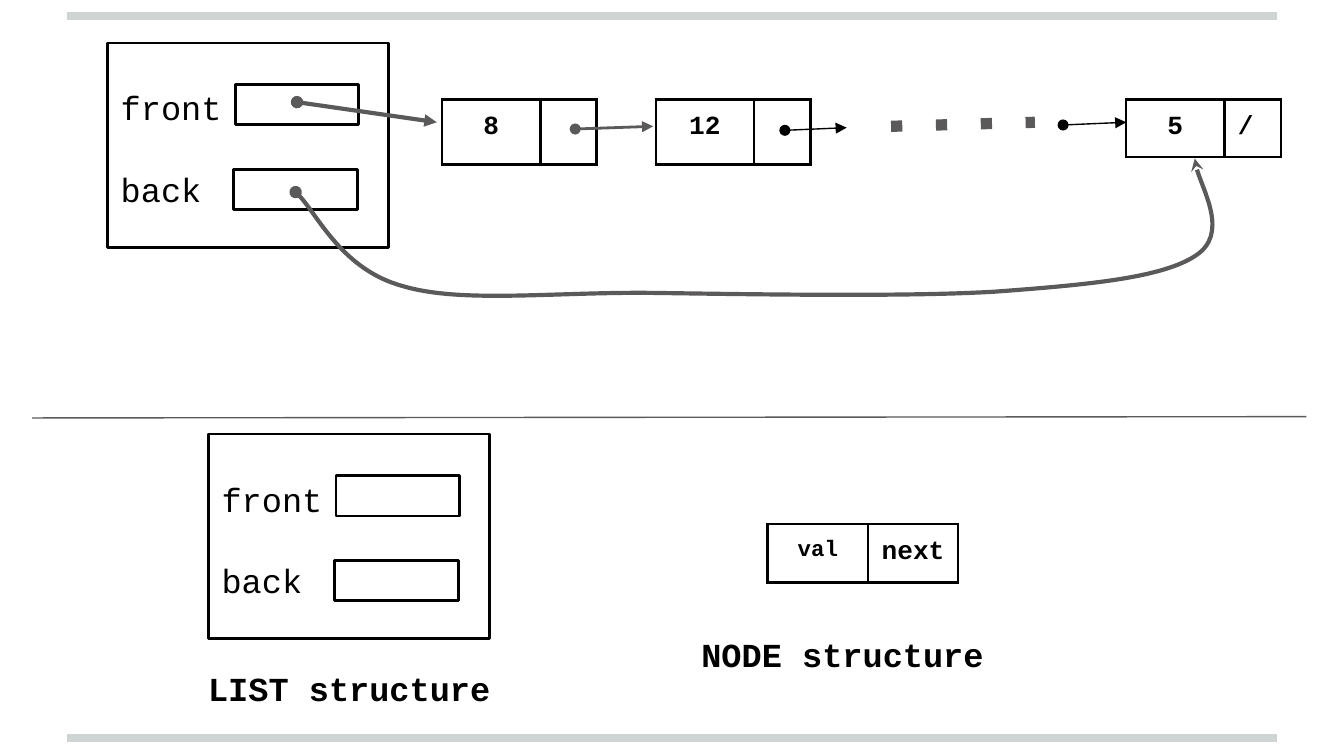
import dataclasses
import typing

import lxml.etree
import pptx
import pptx.dml.color
import pptx.enum.shapes
import pptx.enum.text
import pptx.oxml.ns
import pptx.util

PX = 9144
qn = pptx.oxml.ns.qn


@dataclasses.dataclass(frozen=True)
class Theme:
    ink: str = "000000"
    gray: str = "5B595A"
    rule: str = "CFD4D4"
    font: str = "Courier New"
    label: int = 18
    value: int = 14
    small: int = 12
    thin: float = 0.75
    border: float = 1.5
    bold: float = 2.25
    dots: float = 6
    bar: float = 4


class Box(typing.NamedTuple):
    left: int
    top: int
    width: int
    height: int

    def inner(self, left, top, width, height):
        return Box(self.left + left, self.top + top, width, height)

    def point(self, x, y):
        return self.left + x, self.top + y

    def emu(self):
        return [pptx.util.Emu(value * PX) for value in self]


THEME = Theme()


def color(code):
    return pptx.dml.color.RGBColor.from_string(code)


def write(para, text, size=THEME.label, bold=False, align="LEFT", before=0):
    para.alignment = getattr(pptx.enum.text.PP_ALIGN, align)
    para.space_before = pptx.util.Pt(before)
    span = para.add_run()
    span.text = text
    span.font.name = THEME.font
    span.font.size = pptx.util.Pt(size)
    span.font.bold = bold
    span.font.color.rgb = color(THEME.ink)


def size_empty(para):
    ending = lxml.etree.SubElement(para._p, qn("a:endParaRPr"))
    ending.set("sz", str(THEME.label * 100))
    lxml.etree.SubElement(ending, qn("a:latin")).set("typeface", THEME.font)


def set_margins(target, top=10):
    target.margin_left = target.margin_right = target.margin_bottom = 10 * PX
    target.margin_top = top * PX


def style_line(shape, code, width, dash=None, head=None, tail=None):
    shape.line.color.rgb = color(code)
    shape.line.width = pptx.util.Pt(width)
    outline = shape.line._get_or_add_ln()
    for tag, attribute, value in (
        ("a:prstDash", "val", dash),
        ("a:headEnd", "type", head),
        ("a:tailEnd", "type", tail),
    ):
        if value:
            lxml.etree.SubElement(outline, qn(tag)).set(attribute, value)


def draw_line(page, start, end, code=THEME.gray, width=THEME.thin, **ends):
    points = [pptx.util.Emu(value * PX) for value in (*start, *end)]
    line = page.shapes.add_connector(pptx.enum.shapes.MSO_CONNECTOR.STRAIGHT, *points)
    style_line(line, code, width, **ends)
    lxml.etree.SubElement(line._element.spPr, qn("a:effectLst"))


def draw_pointer(page, start, end, **style):
    draw_line(page, start, end, head="oval", tail="triangle", **style)


def draw_curve(page, start, *points):
    builder = page.shapes.build_freeform(*start, scale=float(PX))
    builder.add_line_segments(points, close=False)
    curve = builder.convert_to_shape()
    segments = list(curve._element.iter(qn("a:lnTo")))
    for index in range(0, len(segments), 3):
        bezier = lxml.etree.Element(qn("a:cubicBezTo"))
        segments[index].addprevious(bezier)
        for segment in segments[index:index + 3]:
            bezier.append(segment[0])
            segment.getparent().remove(segment)
    curve.fill.background()
    curve.shadow.inherit = False
    style_line(curve, THEME.gray, THEME.bold, head="oval", tail="stealth")


def draw_rectangle(page, box):
    shape = page.shapes.add_shape(pptx.enum.shapes.MSO_SHAPE.RECTANGLE, *box.emu())
    shape.fill.background()
    shape.shadow.inherit = False
    style_line(shape, THEME.ink, THEME.border)
    return shape


def draw_list(page, box):
    frame = draw_rectangle(page, box).text_frame
    frame.word_wrap = True
    frame.vertical_anchor = pptx.enum.text.MSO_ANCHOR.TOP
    set_margins(frame, top=33)
    write(frame.paragraphs[0], "front")
    write(frame.add_paragraph(), "back", before=22)
    for left, top in ((95, 31), (94, 94)):
        draw_rectangle(page, box.inner(left, top, 92, 30))


def draw_node(page, box, value, link="", value_width=73, size=THEME.value):
    table = page.shapes.add_table(1, 2, *box.emu()).table
    table.first_row = table.horz_banding = False
    table.columns[0].width = value_width * PX
    table.columns[1].width = (box.width - value_width) * PX
    cells = table.rows[0].cells
    for cell, text, points, align in zip(
        cells, (value, link), (size, THEME.value), ("CENTER", "LEFT")
    ):
        set_margins(cell)
        para = cell.text_frame.paragraphs[0]
        if text:
            write(para, text, size=points, bold=True, align=align)
        else:
            size_empty(para)
        properties = cell._tc.get_or_add_tcPr()
        for side in ("L", "R", "T", "B"):
            edge = lxml.etree.SubElement(properties, qn("a:ln" + side))
            edge.set("w", str(pptx.util.Pt(THEME.border)))
            fill = lxml.etree.SubElement(edge, qn("a:solidFill"))
            lxml.etree.SubElement(fill, qn("a:srgbClr")).set("val", THEME.ink)
        cell.fill.background()


def draw_caption(page, box, text):
    frame = page.shapes.add_textbox(*box.emu()).text_frame
    frame.word_wrap = True
    set_margins(frame)
    write(frame.paragraphs[0], text, bold=True)


def draw_linked_list(page, box):
    at = box.point
    draw_list(page, box.inner(0, 0, 209, 152))
    for left, value, link in ((249, "8", ""), (408, "12", ""), (758, "5", "/")):
        draw_node(page, box.inner(left, 42, 115, 43), value, link)
    draw_pointer(page, at(348, 64), at(406, 62), width=THEME.border)
    draw_pointer(page, at(141, 44), at(245, 59), width=THEME.bold)
    draw_curve(
        page, at(140, 111),
        at(154, 123), at(175, 169), at(220, 181),
        at(264, 194), at(334, 185), at(407, 186),
        at(481, 187), at(594, 189), at(661, 185),
        at(728, 180), at(785, 175), at(810, 158),
        at(834, 142), at(809, 98), at(809, 86),
    )
    draw_pointer(page, at(504, 65), at(550, 63), code=THEME.ink)
    draw_line(page, at(583, 62), at(690, 59), width=THEME.dots, dash="dot")
    draw_pointer(page, at(711, 61), at(758, 59), code=THEME.ink)


def draw_structures(page, box):
    draw_list(page, box.inner(10, 0, 209, 152))
    draw_caption(page, box.inner(0, 164, 276, 36), "LIST structure")
    draw_node(page, box.inner(426, 67, 142, 43), "val", "next", value_width=75, size=THEME.small)
    draw_caption(page, box.inner(367, 139, 276, 36), "NODE structure")


def draw_rules(page, box):
    for y in (box.height, 0):
        draw_line(page, box.point(0, y), box.point(box.width, y), code=THEME.rule, width=THEME.bar)


def main():
    deck = pptx.Presentation()
    deck.slide_width = 1000 * PX
    deck.slide_height = deck.slide_width * 9 // 16
    page = deck.slides.add_slide(deck.slide_layouts[6])
    draw_rules(page, Box(50, 12, 900, 537))
    draw_linked_list(page, Box(80, 32, 873, 188))
    draw_structures(page, Box(145, 323, 643, 200))
    draw_line(page, (24, 311), (972, 310))
    deck.save("out.pptx")


if __name__ == "__main__":
    main()
